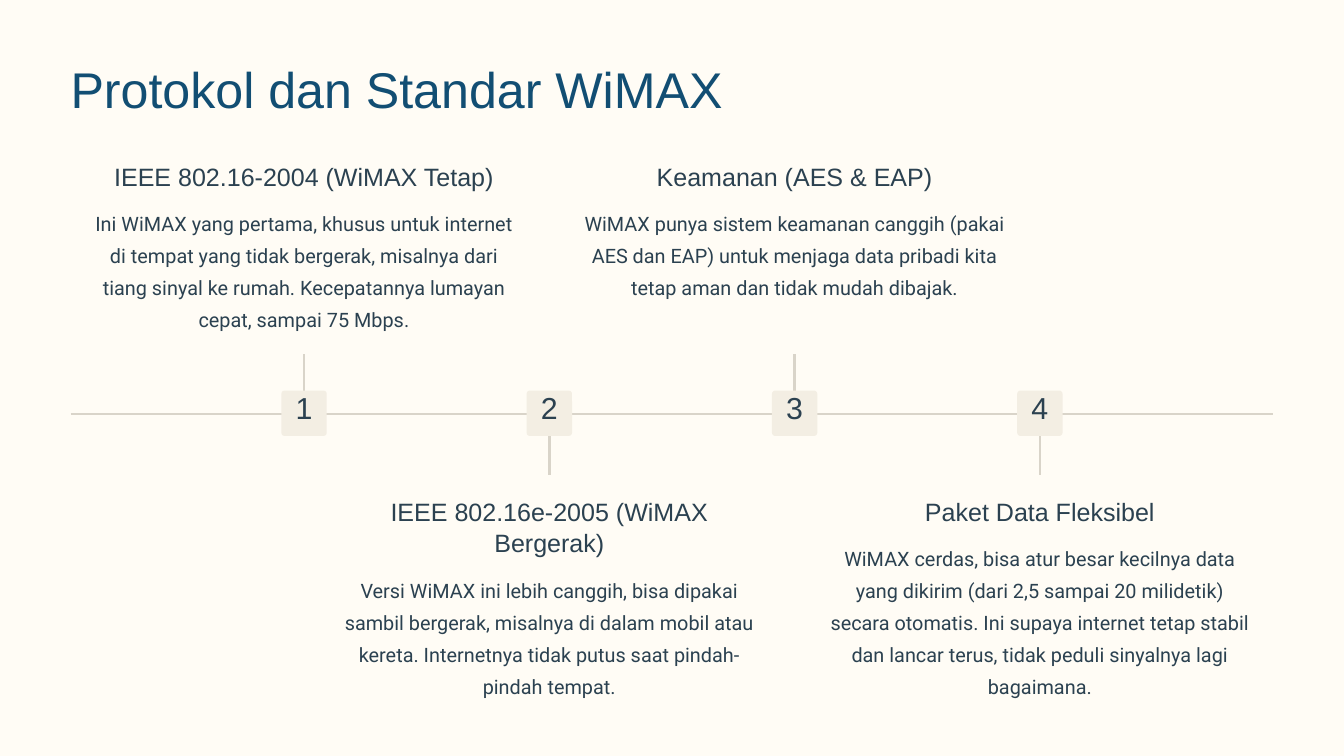
from lxml.etree import SubElement
from pptx import Presentation
from pptx.dml.color import RGBColor
from pptx.enum.shapes import MSO_CONNECTOR, MSO_SHAPE
from pptx.enum.text import MSO_ANCHOR as Anchor, MSO_AUTO_SIZE as AutoSize, PP_ALIGN as Align
from pptx.oxml.ns import qn
from pptx.util import Pt

EMU_PER_PX = 9144
CREAM = RGBColor(0xFF, 0xFC, 0xF5)
BLUE = RGBColor(0x12, 0x4E, 0x73)
SLATE = RGBColor(0x2B, 0x41, 0x50)
SAND = RGBColor(0xD9, 0xD4, 0xC9)
BADGE = RGBColor(0xF3, 0xEE, 0xE3)

AXIS_Y = 493
FIRST_X = 362
STEP_X = 292
STEM = 72
BADGE_SIZE = 54
COLUMN_WIDTH = 506
LINE_HEIGHT = 38
HEADING_GAP = 14
TOP_Y = 190
BOTTOM_Y = 589

STEPS = [
    ("IEEE 802.16-2004 (WiMAX Tetap)", 1,
     "Ini WiMAX yang pertama, khusus untuk internet di tempat yang tidak bergerak, "
     "misalnya dari tiang sinyal ke rumah. Kecepatannya lumayan cepat, sampai 75 Mbps.", 4),
    ("IEEE 802.16e-2005 (WiMAX Bergerak)", 2,
     "Versi WiMAX ini lebih canggih, bisa dipakai sambil bergerak, misalnya di dalam "
     "mobil atau kereta. Internetnya tidak putus saat pindah-pindah tempat.", 4),
    ("Keamanan (AES & EAP)", 1,
     "WiMAX punya sistem keamanan canggih (pakai AES dan EAP) untuk menjaga data "
     "pribadi kita tetap aman dan tidak mudah dibajak.", 3),
    ("Paket Data Fleksibel", 1,
     "WiMAX cerdas, bisa atur besar kecilnya data yang dikirim (dari 2,5 sampai 20 "
     "milidetik) secara otomatis. Ini supaya internet tetap stabil dan lancar terus, "
     "tidak peduli sinyalnya lagi bagaimana.", 5),
]


def px(*lengths):
    return [length * EMU_PER_PX for length in lengths]


class TimelineSlide:
    def __init__(self, presentation):
        self.slide = presentation.slides.add_slide(presentation.slide_layouts[5])
        self.shapes = self.slide.shapes
        background = self.slide.background.fill
        background.solid()
        background.fore_color.rgb = CREAM

    def fill_text(self, shape, text, size, spacing, color=SLATE, font="Arial",
                  align=Align.CENTER, wrap=True, top_inset=0):
        frame = shape.text_frame
        frame.margin_left = frame.margin_right = frame.margin_bottom = 0
        frame.margin_top = top_inset * EMU_PER_PX
        frame.vertical_anchor = Anchor.TOP
        frame.auto_size = AutoSize.NONE
        frame.word_wrap = wrap
        paragraph = frame.paragraphs[0]
        paragraph.alignment = align
        paragraph.line_spacing = Pt(spacing)
        run = paragraph.add_run()
        run.text = text
        run.font.name = font
        run.font.size = Pt(size)
        run.font.color.rgb = color

    def title(self, text, left, top, width, height):
        shape = self.shapes.title
        shape.left, shape.top, shape.width, shape.height = px(left, top, width, height)
        self.fill_text(shape, text, 43, 54, BLUE, align=Align.LEFT, wrap=False)

    def line(self, x1, y1, x2, y2):
        line = self.shapes.add_connector(MSO_CONNECTOR.STRAIGHT, *px(x1, y1, x2, y2))
        line.line.color.rgb = SAND
        line.line.width = Pt(2.25)
        SubElement(line._element.spPr, qn("a:effectLst"))

    def badge(self, number, center):
        half = BADGE_SIZE // 2
        shape = self.shapes.add_shape(
            MSO_SHAPE.ROUNDED_RECTANGLE,
            *px(center - half, AXIS_Y - half - 1, BADGE_SIZE, BADGE_SIZE))
        shape.adjustments[0] = 0.07
        shape.shadow.inherit = False
        shape.fill.solid()
        shape.fill.fore_color.rgb = BADGE
        shape.line.fill.background()
        self.fill_text(shape, str(number), 26, 26, top_inset=5)

    def text(self, text, center, top, height, size, spacing, font="Arial"):
        left = center - COLUMN_WIDTH // 2
        box = self.shapes.add_textbox(*px(left, top, COLUMN_WIDTH, height))
        self.fill_text(box, text, size, spacing, font=font)

    def step(self, number, heading, heading_lines, body, body_lines):
        center = FIRST_X + (number - 1) * STEP_X
        above = number % 2 == 1
        self.line(center, AXIS_Y, center, AXIS_Y - STEM if above else AXIS_Y + STEM)
        self.badge(number, center)
        top = TOP_Y if above else BOTTOM_Y
        heading_height = heading_lines * LINE_HEIGHT
        self.text(heading, center, top, heading_height, 21.5, 27)
        self.text(body, center, top + heading_height + HEADING_GAP,
                  body_lines * LINE_HEIGHT, 17, 27.5, "Roboto")


def main():
    presentation = Presentation()
    presentation.slide_width, presentation.slide_height = px(1600, 900)
    timeline = TimelineSlide(presentation)
    timeline.title("Protokol dan Standar WiMAX", 84, 66, 871, 75)
    timeline.line(84, AXIS_Y, 1515, AXIS_Y)
    for number, step in enumerate(STEPS, start=1):
        timeline.step(number, *step)
    presentation.save("out.pptx")


if __name__ == "__main__":
    main()
